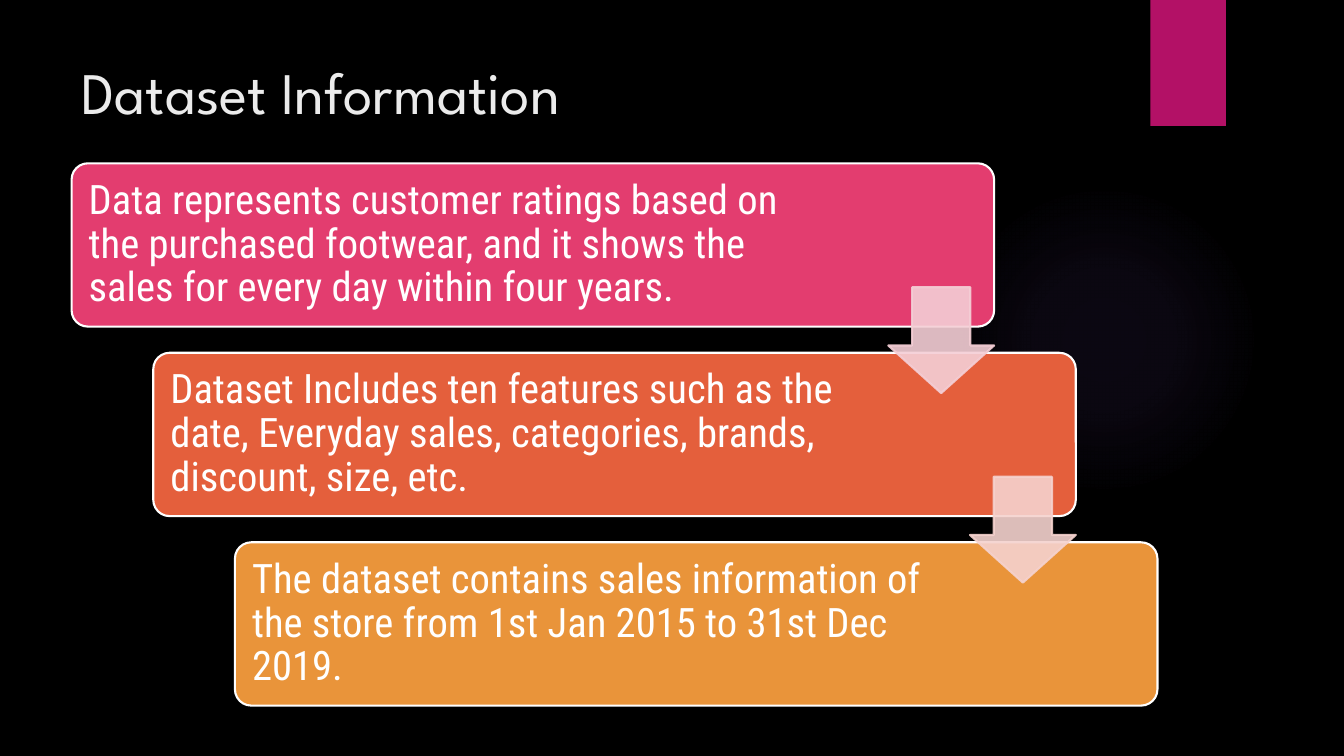
from lxml import etree
from pptx import Presentation
from pptx.dml.color import RGBColor
from pptx.enum.shapes import MSO_SHAPE
from pptx.enum.text import MSO_ANCHOR, PP_ALIGN
from pptx.oxml import parse_xml
from pptx.oxml.ns import nsdecls, qn
from pptx.util import Inches, Pt

OVAL = MSO_SHAPE.OVAL
RECTANGLE = MSO_SHAPE.RECTANGLE
ROUNDED = MSO_SHAPE.ROUNDED_RECTANGLE
DOWN_ARROW = MSO_SHAPE.DOWN_ARROW
TOP = MSO_ANCHOR.TOP
MIDDLE = MSO_ANCHOR.MIDDLE
LEFT = PP_ALIGN.LEFT

BLACK = RGBColor(0x00, 0x00, 0x00)
WHITE = RGBColor(0xFF, 0xFF, 0xFF)
TITLE_GREY = RGBColor(0xEB, 0xEB, 0xEB)
GLOW = RGBColor(0x9B, 0x6B, 0xF2)
MAGENTA = RGBColor(0xB3, 0x11, 0x66)
PINK = RGBColor(0xE3, 0x3D, 0x6F)
ORANGE = RGBColor(0xE4, 0x5F, 0x3C)
AMBER = RGBColor(0xE9, 0x94, 0x3A)
PALE_PINK = RGBColor(0xF4, 0xCE, 0xD5)
PALE_ORANGE = RGBColor(0xF5, 0xD2, 0xCE)

STEPS = [
    ("Data represents customer ratings based on the purchased footwear, "
     "and it shows the sales for every day within four years.", PINK, 7.41),
    ("Dataset Includes ten features such as the date, Everyday sales, "
     "categories, brands, discount, size, etc.", ORANGE, 7.2),
    ("The dataset contains sales information of the store "
     "from 1st Jan 2015 to 31st Dec 2019.", AMBER, 7.2),
]
STEP_LEFT, STEP_TOP = 0.71, 1.62
SHIFT_X, SHIFT_Y = 0.81, 1.88


class SlideBuilder:
    """Holds the text style and the current slide."""

    title_font = "League Spartan"
    body_font = "Roboto Condensed"

    def __init__(self, deck):
        self.slide = deck.slides.add_slide(deck.slide_layouts[5])
        self.slide.background.fill.solid()
        self.slide.background.fill.fore_color.rgb = BLACK

    def shape(self, kind, left, top, width, height, fill, line=None, adjustments=()):
        shape = self.slide.shapes.add_shape(
            kind, Inches(left), Inches(top), Inches(width), Inches(height))
        shape.shadow.inherit = False
        shape.fill.solid()
        shape.fill.fore_color.rgb = fill
        if line is None:
            shape.line.fill.background()
        else:
            shape.line.color.rgb = line
            shape.line.width = Pt(1.5)
        for index, value in enumerate(adjustments):
            shape.adjustments[index] = value
        return shape

    def glow(self, left, top, size, color):
        shape = self.shape(OVAL, left, top, size, size, color)
        stops = "".join(
            f'<a:gs pos="{place * 1000}"><a:srgbClr val="{color}">'
            f'<a:alpha val="{alpha * 1000}"/></a:srgbClr></a:gs>'
            for place, alpha in ((0, 7), (36, 6), (69, 0), (100, 0)))
        gradient = parse_xml(
            f'<a:gradFill {nsdecls("a")}><a:gsLst>{stops}</a:gsLst><a:path path="circle">'
            '<a:fillToRect l="50000" t="50000" r="50000" b="50000"/></a:path></a:gradFill>')
        properties = shape.element.spPr
        properties.replace(properties.find(qn("a:solidFill")), gradient)

    def arrow(self, left, top, color):
        shape = self.shape(DOWN_ARROW, left, top, 1.05, 1.05, color, color, (0.55, 0.45))
        for tint in shape.element.spPr.iter(qn("a:srgbClr")):
            etree.SubElement(tint, qn("a:alpha")).set("val", "90000")

    def set_text(self, frame, text, font, size, color, anchor):
        frame.word_wrap = True
        frame.vertical_anchor = anchor
        frame.text = text
        paragraph = frame.paragraphs[0]
        paragraph.alignment = LEFT
        paragraph.font.name = font
        paragraph.font.size = Pt(size)
        paragraph.font.color.rgb = color
        return paragraph

    def title(self, text, left, top, width, height):
        title = self.slide.shapes.title
        title.left, title.top = Inches(left), Inches(top)
        title.width, title.height = Inches(width), Inches(height)
        self.set_text(title.text_frame, text, self.title_font, 42, TITLE_GREY, TOP)

    def step(self, left, top, text, color, text_width):
        self.shape(ROUNDED, left, top, 9.15, 1.62, color, WHITE, (0.1,))
        box = self.slide.shapes.add_textbox(
            Inches(left + 0.05), Inches(top + 0.05), Inches(text_width), Inches(1.52))
        frame = box.text_frame
        frame.margin_left = frame.margin_right = Inches(0.12)
        frame.margin_top = frame.margin_bottom = Inches(0.12)
        paragraph = self.set_text(frame, text, self.body_font, 29, WHITE, MIDDLE)
        paragraph.line_spacing = 0.9


def main():
    deck = Presentation()
    deck.slide_width, deck.slide_height = Inches(13.33), Inches(7.5)
    page = SlideBuilder(deck)
    page.glow(9.41, 1.83, 3.08, GLOW)
    page.shape(RECTANGLE, 11.41, 0, 0.75, 1.25, MAGENTA)
    page.title("Dataset Information", 0.71, 0.5, 10.29, 1.53)
    for index, (text, color, text_width) in enumerate(STEPS):
        page.step(STEP_LEFT + index * SHIFT_X, STEP_TOP + index * SHIFT_Y,
                  text, color, text_width)
    for index, color in enumerate((PALE_PINK, PALE_ORANGE)):
        page.arrow(8.81 + index * SHIFT_X, 2.85 + index * SHIFT_Y, color)
    deck.save("out.pptx")


if __name__ == "__main__":
    main()
